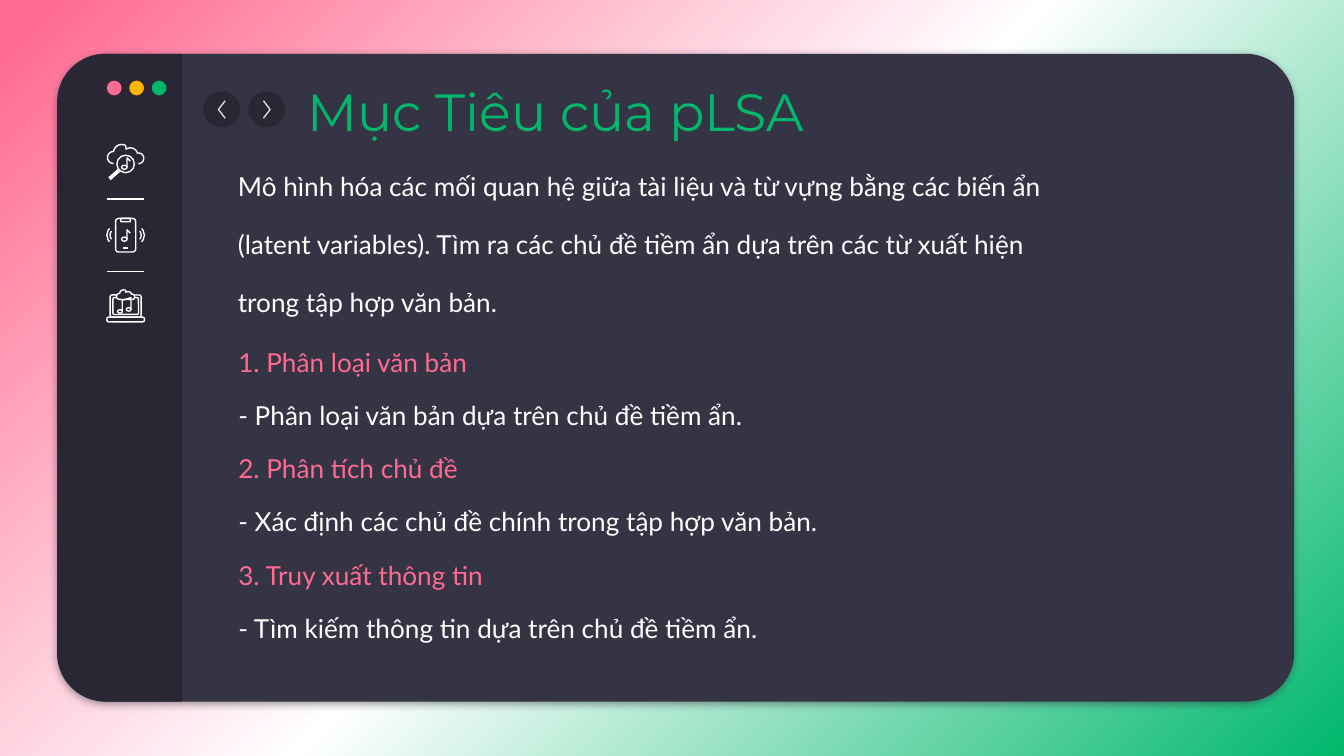
import copy
import math
import pptx
import pptx.util
import pptx.dml.color
import pptx.enum.shapes
import pptx.enum.text
import pptx.oxml
import pptx.oxml.ns

RGB = pptx.dml.color.RGBColor
KIND = pptx.enum.shapes.MSO_SHAPE
Pt = pptx.util.Pt
qn = pptx.oxml.ns.qn

PINK = RGB(0xFF, 0x6A, 0x92)
GREEN = RGB(0x00, 0xB7, 0x6C)
AMBER = RGB(0xFF, 0xB6, 0x00)
WHITE = RGB(0xFF, 0xFF, 0xFF)
PANEL = RGB(0x35, 0x34, 0x45)
DARK = RGB(0x28, 0x27, 0x33)
GREY = RGB(0xDC, 0xDE, 0xE2)

# Grid: 100 columns by 56.25 rows of square cells
COLS, ROWS = 100, 56.25
LEFT, WIDE = 7.95, 2.8       # icon column
MID = LEFT + WIDE / 2

# Cloud lobes: centre x, centre y, radius, first and last angle
LOBES = [(0.5, 1.02, 0.45, 90, 270), (1.1, 0.65, 0.6, 187, 300),
         (1.75, 0.85, 0.55, 235, 345), (2.35, 1.08, 0.4, 260, 450)]

INTRO = ("Mô hình hóa các mối quan hệ giữa tài liệu và từ vựng bằng các biến ẩn "
         "(latent variables). Tìm ra các chủ đề tiềm ẩn dựa trên các từ xuất hiện "
         "trong tập hợp văn bản.")
GOALS = [
    ("1. Phân loại văn bản", "- Phân loại văn bản dựa trên chủ đề tiềm ẩn."),
    ("2. Phân tích chủ đề", "- Xác định các chủ đề chính trong tập hợp văn bản."),
    ("3. Truy xuất thông tin", "- Tìm kiếm thông tin dựa trên chủ đề tiềm ẩn."),
]


def cell(*nums):
    return [pptx.util.Inches(n / 10) for n in nums]


def paint(item, fill=None, line=None):
    item.shadow.inherit = False
    if fill is None:
        item.fill.background()
    else:
        item.fill.solid()
        item.fill.fore_color.rgb = fill
    if line is None:
        item.line.fill.background()
    else:
        item.line.color.rgb = line
        item.line.width = Pt(0.75)


def shape(slide, kind, box, fill=None, line=None, adj=()):
    item = slide.shapes.add_shape(kind, *cell(*box))
    for i, val in enumerate(adj):
        item.adjustments[i] = val
    paint(item, fill, line)
    return item


def rule(slide, ends, width=0.75):
    item = slide.shapes.add_connector(
        pptx.enum.shapes.MSO_CONNECTOR.STRAIGHT, *cell(*ends))
    item.line.color.rgb = WHITE
    item.line.width = Pt(width)
    props = item.element.find(qn("p:spPr"))
    props.append(pptx.oxml.parse_xml(
        f'<a:effectLst {pptx.oxml.ns.nsdecls("a")}/>'))


def bend(slide, points, color, fill=None):
    first, *rest = [cell(*p) for p in points]
    form = slide.shapes.build_freeform(*first)
    form.add_line_segments(rest, close=fill is not None)
    paint(form.convert_to_shape(), fill, color)


def cloud(slide, x, y, scale, fill=None):
    points = []
    for cx, cy, r, start, end in LOBES:
        for step in range(13):
            turn = math.radians(start + (end - start) * step / 12)
            points.append((x + scale * (cx + r * math.cos(turn)),
                           y + scale * (cy + r * math.sin(turn))))
    bend(slide, points, WHITE, fill)


def dot(slide, x, y):
    shape(slide, KIND.OVAL, (x, y, 0.11, 0.11), WHITE)


def write(frame, lines, size, face, gap=None):
    """Fill a text frame with (text, colour) paragraphs."""
    frame.word_wrap = True
    for i, (words, color) in enumerate(lines):
        para = frame.paragraphs[0] if i == 0 else frame.add_paragraph()
        para.text = words
        para.alignment = pptx.enum.text.PP_ALIGN.LEFT
        if gap:
            para.line_spacing = Pt(gap)
        para.font.size = Pt(size)
        para.font.name = face
        para.font.color.rgb = color


def inset(frame, side, top):
    frame.margin_left = frame.margin_right = cell(side)[0]
    frame.margin_top = frame.margin_bottom = cell(top)[0]


def text(slide, box, lines, gap, side, top):
    frame = slide.shapes.add_textbox(*cell(*box)).text_frame
    inset(frame, side, top)
    write(frame, lines, 14, "Lato", gap)


def backdrop(slide):
    fill = slide.background.fill
    fill.gradient()
    fill.gradient_angle = 315
    stops = slide.element.find(".//" + qn("a:gsLst"))
    for _ in range(2):
        stops.append(copy.deepcopy(stops[0]))
    marks = [(0, PINK), (0.02, PINK), (0.5, WHITE), (1, GREEN)]
    for stop, (place, color) in zip(fill.gradient_stops, marks):
        stop.position = place
        stop.color.rgb = color


def window(slide):
    panel = shape(slide, KIND.ROUNDED_RECTANGLE, (4.3, 4, 92, 48.2),
                  PANEL, adj=[0.075])
    glow = panel.element.spPr.find(qn("a:effectLst"))
    glow.append(pptx.oxml.parse_xml(
        f'<a:outerShdw {pptx.oxml.ns.nsdecls("a")} blurRad="{Pt(4.5)}" '
        f'dist="{Pt(1.5)}" dir="5400000" algn="bl" rotWithShape="0">'
        f'<a:srgbClr val="{PANEL}"><a:alpha val="50000"/></a:srgbClr>'
        '</a:outerShdw>'))
    side = shape(slide, KIND.ROUND_2_SAME_RECTANGLE, (-15.2, 23.45, 48.2, 9.3),
                 DARK, adj=[0.386, 0])
    side.rotation = 270
    # Window dots
    for i, color in enumerate((PINK, AMBER, GREEN)):
        shape(slide, KIND.OVAL, (LEFT + 1.67 * i, 6, 1.1, 1.1), color)
    # Back and forward buttons
    for x, way in ((16.5, -1), (19.85, 1)):
        shape(slide, KIND.OVAL, (x - 1.38, 6.8, 2.75, 2.7), DARK)
        back, tip = x - 0.25 * way, x + 0.25 * way
        bend(slide, [(back, 7.5), (tip, 8.15), (back, 8.8)], GREY)


def note(slide, x, y):
    """Music note with its head at the lower left."""
    shape(slide, KIND.OVAL, (x - 0.4, y + 0.55, 0.4, 0.3), line=WHITE)
    bend(slide, [(x, y + 0.7), (x, y), (x + 0.25, y + 0.25)], WHITE)


def search(slide, top):
    cloud(slide, LEFT, top, 1)
    dot(slide, LEFT + 1.1, top)
    shape(slide, KIND.OVAL, (MID - 0.65, top + 0.85, 1.3, 1.3), DARK, WHITE)
    note(slide, MID + 0.1, top + 1.05)
    rule(slide, (MID - 0.5, top + 1.98, LEFT + 0.2, top + 2.6), 2)


def phone(slide, top):
    shape(slide, KIND.ROUNDED_RECTANGLE, (MID - 0.75, top, 1.5, 2.5),
          line=WHITE, adj=[0.15])
    shape(slide, KIND.ROUNDED_RECTANGLE, (MID - 0.35, top, 0.7, 0.25), line=WHITE)
    dot(slide, MID - 0.8, top + 0.68)
    note(slide, MID + 0.1, top + 0.85)
    rule(slide, (MID - 0.2, top + 2.2, MID + 0.2, top + 2.2))
    # Sound waves; arc adjustments are 0.6 per degree
    for way, start, end in ((-1, 135, 225), (1, 315, 45)):
        for far, r in ((0.75, 0.42), (0.7, 0.7)):
            shape(slide, KIND.ARC,
                  (MID + way * far - r, top + 1.25 - r, 2 * r, 2 * r),
                  line=WHITE, adj=[0.6 * start, 0.6 * end])


def laptop(slide, top):
    for edge, y, high in ((0.25, 0.45, 1.65), (0.45, 0.65, 1.25)):
        shape(slide, KIND.ROUNDED_RECTANGLE,
              (LEFT + edge, top + y, WIDE - 2 * edge, high),
              line=WHITE, adj=[0.08])
    cloud(slide, MID - 0.7, top + 0.05, 0.5, DARK)
    for x, y in ((-0.25, 1.55), (0.4, 1.4)):
        shape(slide, KIND.OVAL, (MID + x - 0.35, top + y, 0.35, 0.25), line=WHITE)
    bend(slide, [(MID - 0.25, top + 1.65), (MID - 0.25, top + 0.85),
                 (MID + 0.4, top + 0.65), (MID + 0.4, top + 1.5)], WHITE)
    shape(slide, KIND.ROUNDED_RECTANGLE, (LEFT, top + 2.1, WIDE, 0.35),
          line=WHITE, adj=[0.4])
    dot(slide, MID - 0.05, top + 2.4)


def heading(slide):
    title = slide.shapes.title
    title.left, title.top, title.width, title.height = cell(21.9, 5.9, 70.3, 5.2)
    frame = title.text_frame
    frame.auto_size = pptx.enum.text.MSO_AUTO_SIZE.NONE
    frame.vertical_anchor = pptx.enum.text.MSO_ANCHOR.TOP
    inset(frame, 1, 0)
    write(frame, [("Mục Tiêu của pLSA", GREEN)], 28, "Montserrat")
    # Bring the title in front of the window
    title.element.getparent().append(title.element)


def main():
    deck = pptx.Presentation()
    deck.slide_width, deck.slide_height = cell(COLS, ROWS)
    slide = deck.slides.add_slide(deck.slide_layouts[5])
    backdrop(slide)
    window(slide)
    heading(slide)

    # Side menu
    search(slide, 10.7)
    phone(slide, 16.25)
    laptop(slide, 21.5)
    for y in (14.8, 20.2):
        rule(slide, (LEFT, y, LEFT + WIDE, y))

    # Body
    text(slide, (17.7, 10.7, 62.6, 13), [(INTRO, WHITE)], 31, 0, 0)
    lines = [pair for head, body in GOALS
             for pair in ((head, PINK), (body, WHITE))]
    text(slide, (16.75, 23.65, 50, 29), lines, 28.5, 1, 0.5)
    deck.save("out.pptx")


if __name__ == "__main__":
    main()
